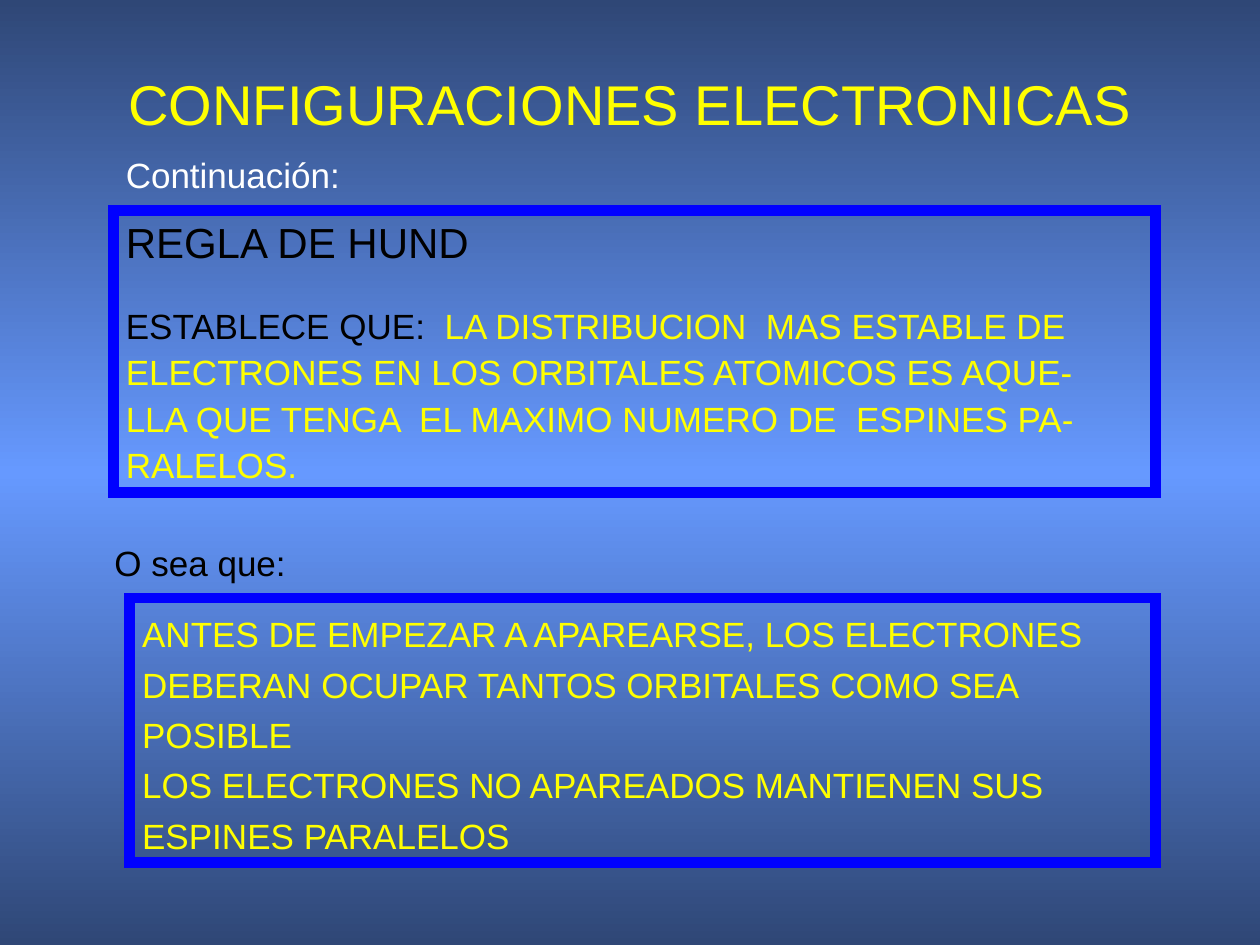
import copy
from dataclasses import dataclass

import lxml.etree
import pptx
import pptx.dml.color
import pptx.enum.shapes
import pptx.enum.text
import pptx.oxml.ns
import pptx.util

WIDTH, HEIGHT = 10, 7.5
YELLOW, WHITE, BLACK, BLUE = "FFFF00", "FFFFFF", "000000", "0000FF"
EDGE, MIDDLE = "2F4776", "6699FF"


@dataclass
class Line:
    runs: list[tuple[str, str]]  # wording and colour
    size: int = 20
    spacing: float = 1.0
    before: float = 0


@dataclass
class Area:
    """Place on the slide, as shares of its width and height."""
    left: float
    top: float
    width: float
    height: float

    def lengths(self) -> list[int]:
        return [pptx.util.Inches(share * side) for share, side in
                ((self.left, WIDTH), (self.top, HEIGHT),
                 (self.width, WIDTH), (self.height, HEIGHT))]


def colour(value: str) -> pptx.dml.color.RGBColor:
    return pptx.dml.color.RGBColor.from_string(value)


def write(frame, lines: list[Line], wrap: bool = True) -> None:
    frame.word_wrap = wrap
    frame.auto_size = pptx.enum.text.MSO_AUTO_SIZE.NONE
    frame.vertical_anchor = pptx.enum.text.MSO_ANCHOR.TOP
    for index, line in enumerate(lines):
        paragraph = frame.add_paragraph() if index else frame.paragraphs[0]
        paragraph.alignment = pptx.enum.text.PP_ALIGN.LEFT
        paragraph.line_spacing = line.spacing
        if line.before:
            paragraph.space_before = pptx.util.Pt(line.before)
        paragraph.font.name = "Arial"
        paragraph.font.size = pptx.util.Pt(line.size)
        for wording, shade in line.runs:
            run = paragraph.add_run()
            run.text = wording
            run.font.color.rgb = colour(shade)


def add_label(slide, area: Area, wording: str, shade: str) -> None:
    label = slide.shapes.add_textbox(*area.lengths())
    write(label.text_frame, [Line([(wording, shade)])], wrap=False)


def add_frame(slide, area: Area, lines: list[Line]) -> None:
    frame = slide.shapes.add_shape(
        pptx.enum.shapes.MSO_SHAPE.RECTANGLE, *area.lengths())
    frame.shadow.inherit = False
    frame.fill.background()
    frame.line.color.rgb = colour(BLUE)
    frame.line.width = pptx.util.Pt(6)
    # Square corners
    outline = frame.element.xpath("./p:spPr/a:ln")[0]
    lxml.etree.SubElement(outline, pptx.oxml.ns.qn("a:miter"), lim="800000")
    write(frame.text_frame, lines)


def paint_background(slide) -> None:
    fill = slide.background.fill
    fill.gradient()
    fill.gradient_angle = 90
    stops = slide.element.xpath(".//a:gsLst")[0]
    stops.insert(1, copy.deepcopy(stops[0]))
    for stop, position, shade in zip(
            fill.gradient_stops, (0, 0.5, 1), (EDGE, MIDDLE, EDGE)):
        stop.position = position
        stop.color.rgb = colour(shade)


def main() -> None:
    deck = pptx.Presentation()
    deck.slide_width = pptx.util.Inches(WIDTH)
    deck.slide_height = pptx.util.Inches(HEIGHT)
    slide = deck.slides.add_slide(deck.slide_layouts[5])
    paint_background(slide)

    # Heading, wide enough for one line
    title = slide.shapes.title
    title.left, title.top, title.width, title.height = Area(
        0.092, 0.067, 0.84, 0.085).lengths()
    write(title.text_frame,
          [Line([("CONFIGURACIONES ELECTRONICAS", YELLOW)], size=32)])
    add_label(slide, Area(0.09, 0.156, 0.19, 0.059), "Continuación:", WHITE)

    # Hund's rule
    statement = ["ELECTRONES EN LOS ORBITALES ATOMICOS ES AQUE-",
                 "LLA QUE TENGA  EL MAXIMO NUMERO DE  ESPINES PA-",
                 "RALELOS."]
    add_frame(slide, Area(0.09, 0.223, 0.827, 0.298), [
        Line([("REGLA DE HUND", BLACK)], size=24),
        Line([("ESTABLECE QUE:  ", BLACK),
              ("LA DISTRIBUCION  MAS ESTABLE DE", YELLOW)],
             spacing=1.1, before=19),
        *[Line([(wording, YELLOW)], spacing=1.1) for wording in statement]])

    # What it means
    add_label(slide, Area(0.081, 0.567, 0.156, 0.059), "O sea que:", BLACK)
    meaning = ["ANTES DE EMPEZAR A APAREARSE, LOS ELECTRONES",
               "DEBERAN OCUPAR TANTOS ORBITALES COMO SEA POSIBLE",
               "LOS ELECTRONES NO APAREADOS MANTIENEN SUS ESPINES PARALELOS"]
    add_frame(slide, Area(0.103, 0.633, 0.814, 0.28),
              [Line([(wording, YELLOW)], spacing=1.2) for wording in meaning])

    deck.save("out.pptx")


if __name__ == "__main__":
    main()
